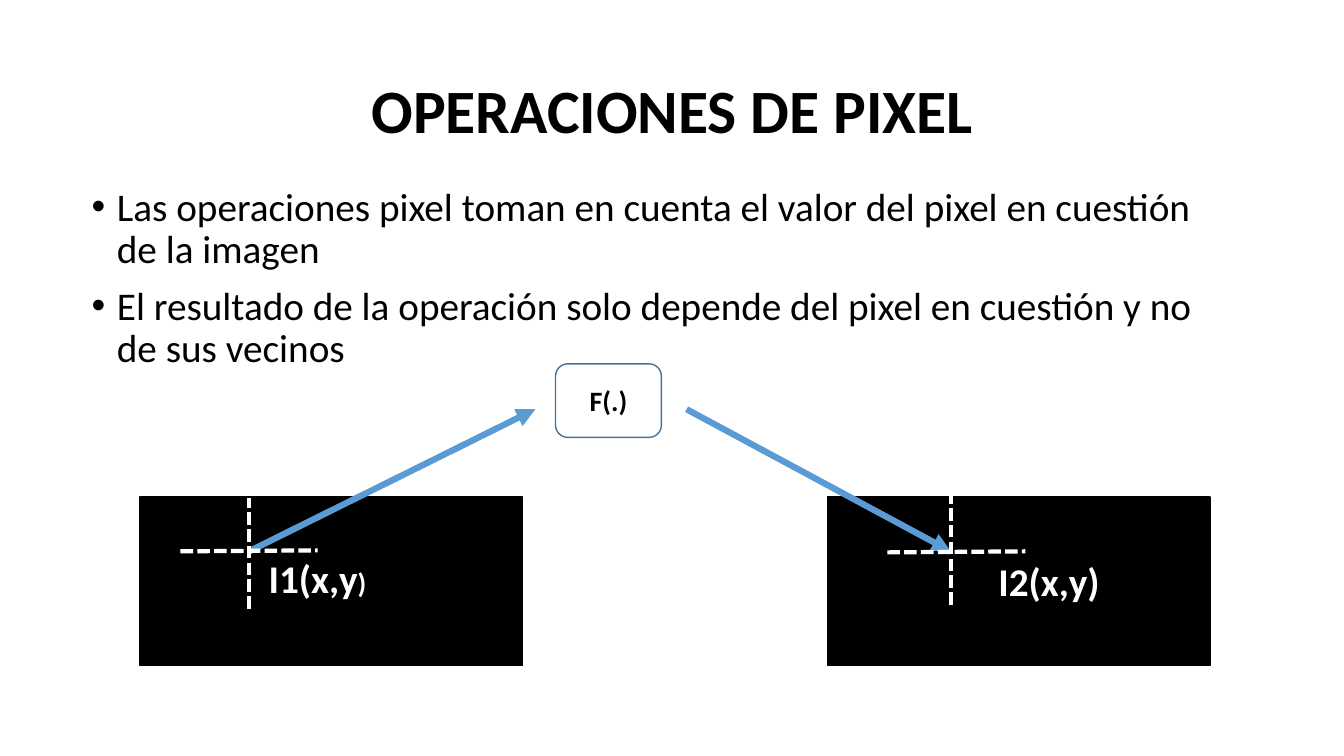
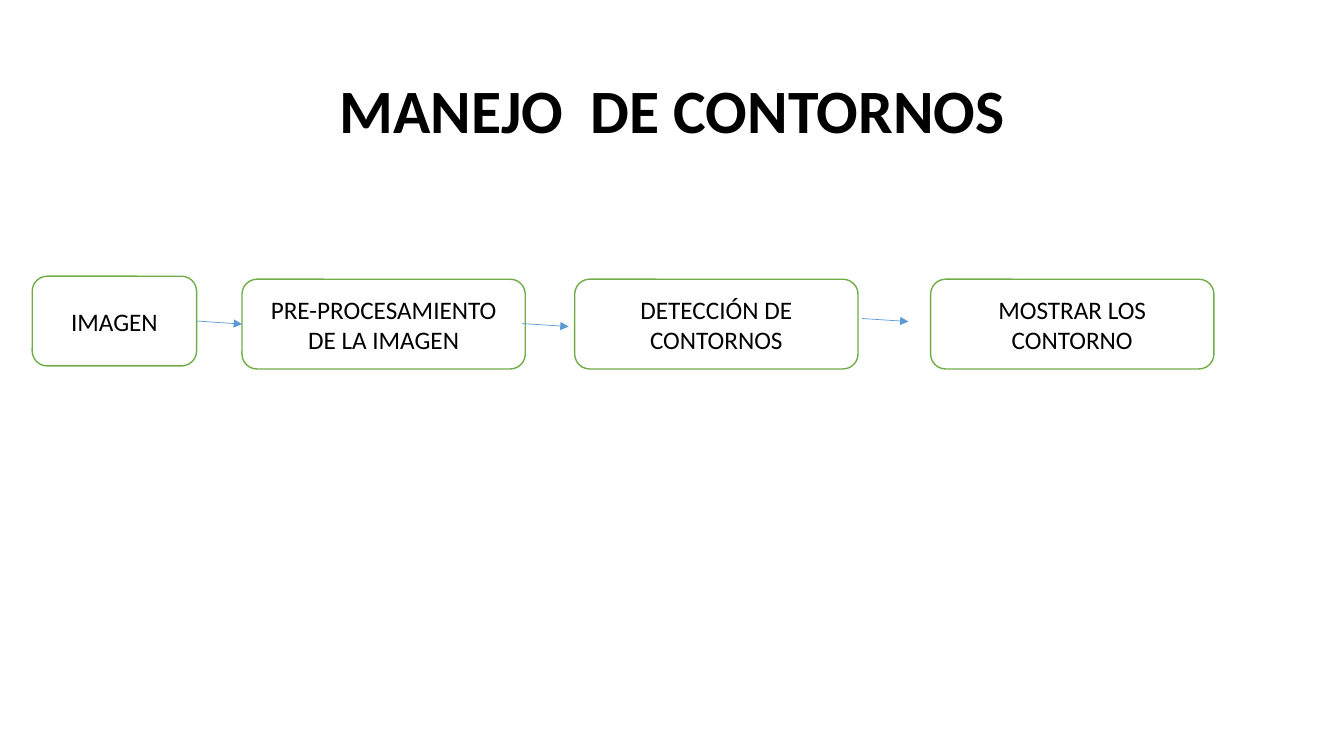
import pptx
import pptx.util
import pptx.dml.color
import pptx.enum.dml
import pptx.enum.shapes
import pptx.enum.text
import pptx.oxml.ns
from lxml import etree

Inches = pptx.util.Inches
Pt = pptx.util.Pt
SHAPE = pptx.enum.shapes.MSO_SHAPE
ALIGN = pptx.enum.text.PP_ALIGN
MIDDLE = pptx.enum.text.MSO_ANCHOR.MIDDLE


class Deck:
    FONT = "Calibri"
    COLORS = {
        "black": "000000",
        "white": "FFFFFF",
        "arrow": "5B9BD5",
        "function": "43739E",
        "step": "70AD47",
    }
    TITLE_AND_BODY = 1
    TITLE_ONLY = 5

    def __init__(self):
        self.prs = pptx.Presentation()
        self.prs.slide_width = Inches(13.33)
        self.prs.slide_height = Inches(7.5)
        self.s = None

    def color(self, name):
        return pptx.dml.color.RGBColor.from_string(self.COLORS[name])

    def place(self, sp, left, top, width, height):
        sp.left, sp.top = Inches(left), Inches(top)
        sp.width, sp.height = Inches(width), Inches(height)

    def style_run(self, r, size, color="black", bold=False):
        r.font.name = self.FONT
        r.font.size = Pt(size)
        r.font.bold = bold
        r.font.color.rgb = self.color(color)

    def slide(self, title, layout):
        self.s = self.prs.slides.add_slide(self.prs.slide_layouts[layout])
        sp = self.s.shapes.title
        self.place(sp, 0.92, 0.4, 11.5, 1.45)
        tf = sp.text_frame
        tf.text = title
        tf.auto_size = pptx.enum.text.MSO_AUTO_SIZE.NONE
        tf.vertical_anchor = MIDDLE
        p = tf.paragraphs[0]
        p.alignment = ALIGN.CENTER
        p.line_spacing = 0.9
        self.style_run(p.runs[0], 44, bold=True)

    def body(self, items):
        sp = self.s.placeholders[1]
        self.place(sp, 0.81, 1.81, 11.5, 4.76)
        tf = sp.text_frame
        tf.text = "\n".join(items)
        tf.auto_size = pptx.enum.text.MSO_AUTO_SIZE.NONE
        for p in tf.paragraphs:
            p.line_spacing = 0.9
            p.space_before = Pt(10)
            pPr = p._p.get_or_add_pPr()
            pPr.set("marL", str(Inches(0.25)))
            pPr.set("indent", str(Inches(-0.25)))
            self.style_run(p.runs[0], 28)

    def box(self, left, top, width, height, kind=SHAPE.ROUNDED_RECTANGLE, fill=None, line=None):
        sp = self.s.shapes.add_shape(kind, Inches(left), Inches(top), Inches(width), Inches(height))
        sp.shadow.inherit = False
        if fill:
            sp.fill.solid()
            sp.fill.fore_color.rgb = self.color(fill)
        else:
            sp.fill.background()
        if line:
            sp.line.color.rgb = self.color(line)
            sp.line.width = Pt(1)
        else:
            sp.line.fill.background()
        return sp

    def label(self, sp, text, size, color="black", bold=False):
        tf = sp.text_frame
        tf.text = text
        tf.word_wrap = True
        tf.vertical_anchor = MIDDLE
        p = tf.paragraphs[0]
        p.alignment = ALIGN.CENTER
        self.style_run(p.runs[0], size, color, bold)
        return p

    def line(self, start, end, color, width, dashed=False):
        ends = [Inches(v) for v in (*start, *end)]
        cxn = self.s.shapes.add_connector(pptx.enum.shapes.MSO_CONNECTOR.STRAIGHT, *ends)
        cxn.line.color.rgb = self.color(color)
        cxn.line.width = Pt(width)
        if dashed:
            cxn.line.dash_style = pptx.enum.dml.MSO_LINE.SQUARE_DOT
        etree.SubElement(cxn._element.spPr, pptx.oxml.ns.qn("a:effectLst"))
        return cxn

    def arrow(self, start, end, width):
        cxn = self.line(start, end, "arrow", width)
        tail = etree.SubElement(cxn.line._get_or_add_ln(), pptx.oxml.ns.qn("a:tailEnd"))
        tail.set("type", "triangle")
        return cxn


def pixel_operations(deck):
    deck.slide("OPERACIONES DE PIXEL", deck.TITLE_AND_BODY)
    deck.body([
        "Las operaciones pixel toman en cuenta el valor del pixel en cuestión de la imagen",
        "El resultado de la operación solo depende del pixel en cuestión y no de sus vecinos",
    ])
    for left in (1.39, 8.21):
        deck.box(left, 4.93, 3.79, 1.67, SHAPE.RECTANGLE, "black", "black")
    deck.arrow((2.47, 5.47), (5.31, 4.06), 4.5)
    deck.arrow((6.81, 4.06), (9.43, 5.47), 4.5)
    crosshairs = [
        ((2.47, 6.04), (2.47, 4.94)),
        ((1.79, 5.47), (3.15, 5.46)),
        ((8.8, 5.48), (10.17, 5.47)),
        ((9.43, 6), (9.43, 4.91)),
    ]
    for start, end in crosshairs:
        deck.line(start, end, "white", 3, dashed=True)
    function = deck.box(5.51, 3.61, 1.05, 0.73, line="function")
    deck.label(function, "F(.)", 20, bold=True)
    p = deck.label(deck.box(2.37, 5.37, 1.56, 0.73), "I1(x,y", 28, "white", True)
    r = p.add_run()
    r.text = ")"
    deck.style_run(r, 20, "white", True)
    deck.label(deck.box(9.44, 5.4, 1.93, 0.73), "I2(x,y)", 28, "white", True)


def contour_handling(deck):
    deck.slide("MANEJO  DE CONTORNOS", deck.TITLE_ONLY)
    steps = [
        ("IMAGEN", 0.32, 2.74, 1.63),
        ("PRE-PROCESAMIENTO DE LA IMAGEN", 2.4, 2.77, 2.81),
        ("DETECCIÓN DE CONTORNOS", 5.7, 2.77, 2.81),
        ("MOSTRAR LOS CONTORNO", 9.23, 2.77, 2.81),
    ]
    boxes = []
    for text, left, top, width in steps:
        sp = deck.box(left, top, width, 0.89, fill="white", line="step")
        deck.label(sp, text, 18)
        boxes.append(sp)
    cxn = deck.arrow((1.95, 3.19), (2.4, 3.21), 0.5)
    cxn.begin_connect(boxes[0], 3)
    cxn.end_connect(boxes[1], 1)
    deck.arrow((5.18, 3.21), (5.64, 3.24), 0.5)
    deck.arrow((8.55, 3.16), (9.01, 3.19), 0.5)


def main():
    deck = Deck()
    pixel_operations(deck)
    contour_handling(deck)
    deck.prs.save("out.pptx")


if __name__ == "__main__":
    main()
